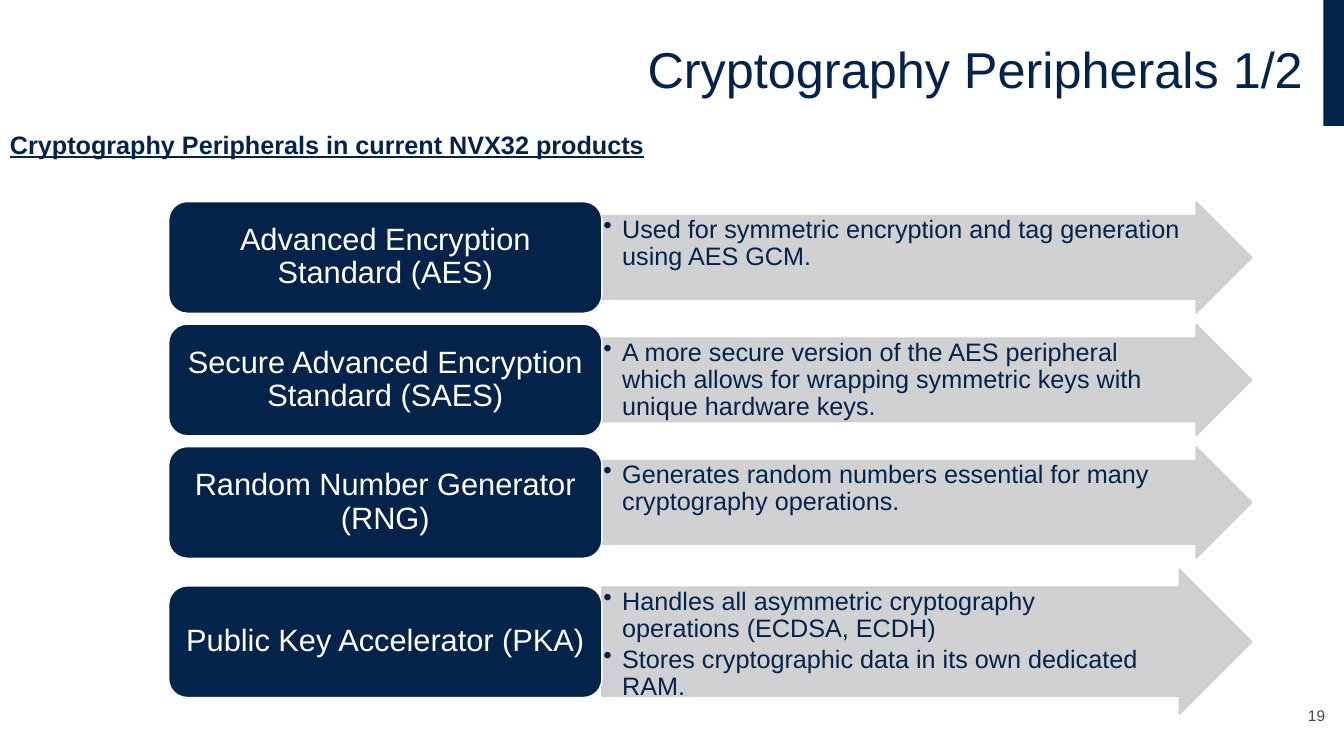
from lxml.etree import SubElement
from pptx import Presentation
from pptx.dml.color import RGBColor
from pptx.enum.shapes import MSO_SHAPE as Shape
from pptx.enum.text import MSO_ANCHOR as Anchor, PP_ALIGN as Align
from pptx.oxml.ns import qn
from pptx.util import Pt

# Content
TITLE = "Cryptography Peripherals 1/2"
SUBTITLE = "Cryptography Peripherals in current NVX32 products"
PAGE_NUMBER = "19"
PERIPHERALS = [
    ("Advanced Encryption Standard (AES)",
     ["Used for symmetric encryption and tag generation using AES GCM."]),
    ("Secure Advanced Encryption Standard (SAES)",
     ["A more secure version of the AES peripheral which allows for "
      "wrapping symmetric keys with unique hardware keys."]),
    ("Random Number Generator (RNG)",
     ["Generates random numbers essential for many cryptography operations."]),
    ("Public Key Accelerator (PKA)",
     ["Handles all asymmetric cryptography operations (ECDSA, ECDH)",
      "Stores cryptographic data in its own dedicated RAM."]),
]

# Style and layout, in points
NAVY, GRAY, WHITE, DARK = "03234B", "CCCDD0", "FFFFFF", "464650"
ROWS_TOP, ROW_GAP = 144, 7.75
BOX_LEFT, BOX_WIDTH, BOX_HEIGHT = 120.5, 309.5, 79.75
ARROW_LEFT, ARROW_WIDTH, TALL_ARROW = 430, 464.25, 103.75
INDENT = 13.5


def color(hex_string):
    return RGBColor.from_string(hex_string)


def place(shape, left, top, width, height):
    shape.left, shape.top = Pt(left), Pt(top)
    shape.width, shape.height = Pt(width), Pt(height)


def set_frame(shape, anchor, left, top, right, bottom):
    frame = shape.text_frame
    frame.word_wrap = True
    frame.vertical_anchor = anchor
    frame.margin_left, frame.margin_top = Pt(left), Pt(top)
    frame.margin_right, frame.margin_bottom = Pt(right), Pt(bottom)
    return frame


def style(paragraph, size, hex_string, align=Align.LEFT, spacing=None, after=0):
    paragraph.alignment = align
    paragraph.line_spacing = spacing
    paragraph.space_after = Pt(after)
    font = paragraph.font
    font.name, font.size = "Arial", Pt(size)
    font.color.rgb = color(hex_string)


def add_bullet(paragraph):
    properties = paragraph._p.get_or_add_pPr()
    properties.set("marL", str(Pt(INDENT)))
    properties.set("indent", str(-Pt(INDENT)))
    SubElement(properties, qn("a:buChar"), char="•")


def add_block(kind, left, top, width, height, fill, line):
    shape = slide.shapes.add_shape(
        kind, Pt(left), Pt(top), Pt(width), Pt(height))
    shape.shadow.inherit = False
    shape.fill.solid()
    shape.fill.fore_color.rgb = color(fill)
    shape.line.color.rgb = color(line)
    shape.line.width = Pt(1)
    return shape


def add_label(text, left, top, width, height, anchor, margin):
    box = slide.shapes.add_textbox(Pt(left), Pt(top), Pt(width), Pt(height))
    frame = set_frame(box, anchor, margin, 3.6, margin, 3.6)
    frame.text = text
    return frame.paragraphs[0]


presentation = Presentation()
presentation.slide_width, presentation.slide_height = Pt(960), Pt(540)
slide = presentation.slides.add_slide(presentation.slide_layouts[5])

# Corner bar
bar = add_block(Shape.RECTANGLE, 945.25, 0, 14.75, 90, NAVY, NAVY)
bar.line.fill.background()

# Title, subtitle and page number
title = slide.shapes.title
place(title, 24, 0, 914, 103)
set_frame(title, Anchor.MIDDLE, 7.2, 3.6, 7.2, 3.6).text = TITLE
style(title.text_frame.paragraphs[0], 36, NAVY, Align.RIGHT, 0.9)

subtitle = add_label(SUBTITLE, 0, 88.5, 507.5, 29, Anchor.TOP, 7.2)
style(subtitle, 18, NAVY)
subtitle.font.bold = subtitle.font.underline = True

number = add_label(PAGE_NUMBER, 914.5, 498, 32, 23, Anchor.BOTTOM, 0)
style(number, 11, DARK, Align.RIGHT, after=6)

# One row per peripheral: an arrow with its uses and a box with its name
top = ROWS_TOP
for name, uses in PERIPHERALS:
    height = TALL_ARROW if len(uses) > 1 else BOX_HEIGHT

    arrow = add_block(Shape.RIGHT_ARROW, ARROW_LEFT, top, ARROW_WIDTH, height,
                      GRAY, GRAY)
    arrow.adjustments[0], arrow.adjustments[1] = 0.75, 0.5
    for tint in arrow._element.spPr.iter(qn("a:srgbClr")):
        SubElement(tint, qn("a:alpha"), val="90000")
    frame = set_frame(arrow, Anchor.TOP, 1, 1, height / 4 + 1, 1)
    for index, use in enumerate(uses):
        paragraph = frame.add_paragraph() if index else frame.paragraphs[0]
        paragraph.text = use
        add_bullet(paragraph)
        style(paragraph, 18, NAVY, spacing=0.9, after=2.7)

    box = add_block(Shape.ROUNDED_RECTANGLE, BOX_LEFT,
                    top + (height - BOX_HEIGHT) / 2, BOX_WIDTH, BOX_HEIGHT,
                    NAVY, WHITE)
    frame = set_frame(box, Anchor.MIDDLE, 6.6, 3.3, 6.6, 3.3)
    frame.text = name
    style(frame.paragraphs[0], 22, WHITE, Align.CENTER, 0.9)

    top += height + ROW_GAP

presentation.save("out.pptx")
